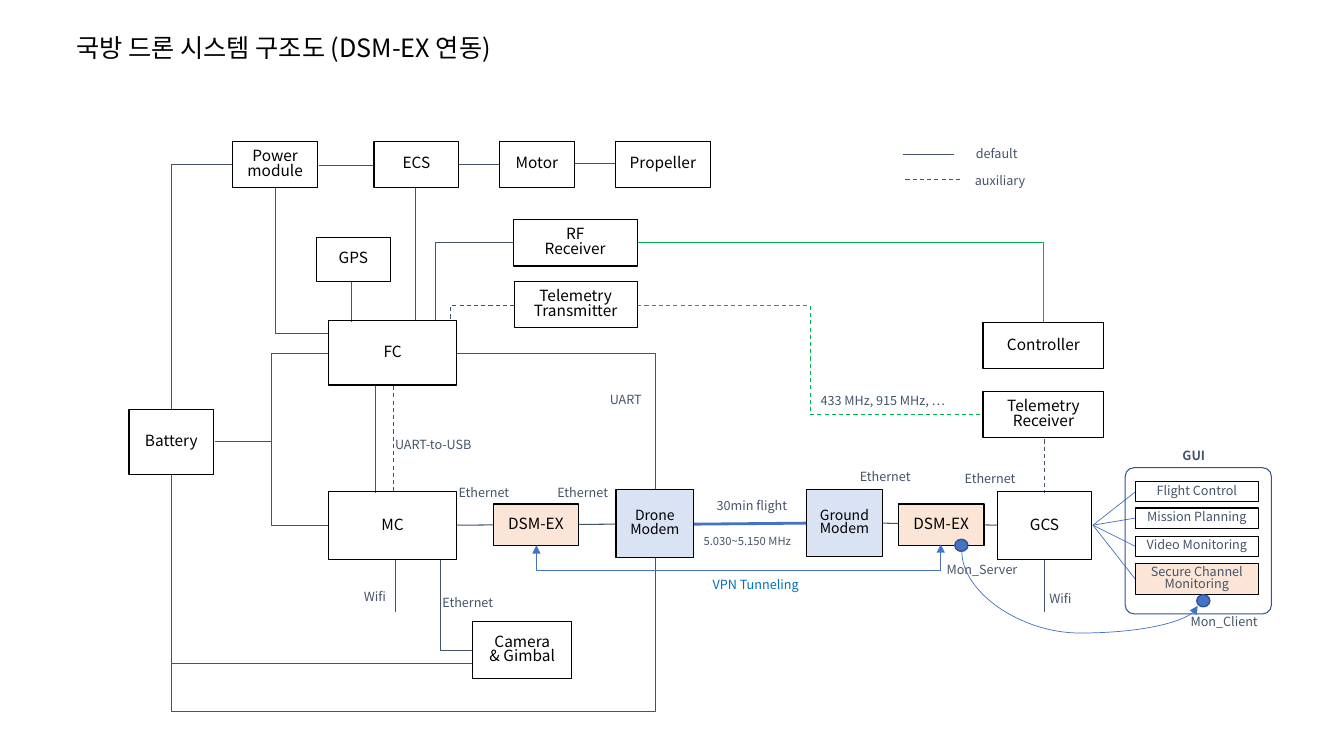
from dataclasses import dataclass
from typing import Optional

import lxml.etree
import pptx
import pptx.dml.color
import pptx.enum.dml
import pptx.enum.shapes
import pptx.enum.text
import pptx.oxml.ns
import pptx.util

Inches = pptx.util.Inches
Pt = pptx.util.Pt
Preset = pptx.enum.shapes.MSO_SHAPE
Align = pptx.enum.text.PP_ALIGN
Point = tuple[float, float]


@dataclass(frozen=True)
class Theme:
    font: str = "Noto Sans CJK KR"
    black: str = "000000"
    slate: str = "44546A"
    blue: str = "4472C4"
    navy: str = "325491"
    green: str = "00B050"
    sky: str = "0070C0"
    modem: str = "DAE3F3"
    secure: str = "FBE5D6"
    title: float = 18
    device: float = 11
    small: float = 10
    label: float = 9
    fine: float = 8
    hair: float = 0.5
    thin: float = 0.75
    box_spacing: float = 0.8
    label_spacing: float = 0.9


THEME = Theme()


@dataclass(frozen=True)
class Box:
    text: str
    left: float
    top: float
    width: float
    height: float
    fill: Optional[str] = None
    size: float = THEME.device
    color: str = THEME.black
    line: str = THEME.black
    weight: float = THEME.thin
    preset: Preset = Preset.RECTANGLE


@dataclass(frozen=True)
class Label:
    text: str
    left: float
    top: float
    width: float
    height: float = 0.2
    size: float = THEME.label
    color: str = THEME.slate
    bold: bool = False


@dataclass(frozen=True)
class Wire:
    begin: Point
    end: Point
    preset: str = "line"
    vertical_first: bool = False
    adjust: Optional[float] = None
    color: str = THEME.slate
    weight: float = THEME.thin
    dashed: bool = False
    arrows: tuple[str, ...] = ()


ELBOW, ZIGZAG, CURVE = "bentConnector2", "bentConnector3", "curvedConnector3"
GCS_PORT = (10.84, 5.21)
MENU_LEFT, MENU_WIDTH = 11.26, 1.22

MENU = [
    Box(text, MENU_LEFT, top, MENU_WIDTH, height, fill, THEME.label, THEME.slate)
    for text, top, height, fill in (
        ("Flight Control", 4.78, 0.2, None),
        ("Mission Planning", 5.04, 0.2, None),
        ("Video Monitoring", 5.32, 0.2, None),
        ("Secure Channel Monitoring", 5.59, 0.31, THEME.secure),
    )
]
BOXES = [
    Box("Power module", 2.31, 1.4, 0.84, 0.46),
    Box("ECS", 3.71, 1.4, 0.84, 0.46),
    Box("Motor", 4.95, 1.4, 0.75, 0.46),
    Box("Propeller", 6.1, 1.4, 0.95, 0.46),
    Box("GPS", 3.14, 2.36, 0.73, 0.43),
    Box("RF\nReceiver", 5.09, 2.18, 1.23, 0.46),
    Box("Telemetry\nTransmitter", 5.1, 2.79, 1.22, 0.46),
    Box("FC", 3.26, 3.18, 1.27, 0.64),
    Box("Battery", 1.28, 4.06, 0.84, 0.65),
    Box("MC", 3.26, 4.88, 1.27, 0.67),
    Box("DSM-EX", 4.89, 5, 0.85, 0.41, THEME.secure),
    Box("Drone\nModem", 6.11, 4.86, 0.77, 0.67, THEME.modem, THEME.small),
    Box("Ground\nModem", 8, 4.86, 0.75, 0.66, THEME.modem, THEME.small),
    Box("DSM-EX", 8.91, 5, 0.85, 0.41, THEME.secure),
    Box("GCS", 9.89, 4.88, 0.94, 0.67),
    Box("Controller", 9.75, 3.2, 1.2, 0.46),
    Box("Telemetry\nReceiver", 9.75, 3.88, 1.2, 0.46),
    Box("Camera\n& Gimbal", 4.69, 6.17, 0.98, 0.56),
    *MENU,
    Box("", 11.16, 4.64, 1.45, 1.45, line=THEME.navy, preset=Preset.ROUNDED_RECTANGLE),
    *(Box("", left, top, 0.13, 0.12, THEME.blue, line=THEME.navy, weight=1, preset=Preset.OVAL)
      for left, top in ((9.47, 5.35), (11.87, 5.9))),
]
WIRES = [
    Wire((3.16, 1.64), (3.72, 1.64)),
    Wire((4.55, 1.63), (4.95, 1.63)),
    Wire((5.7, 1.62), (6.1, 1.62)),
    Wire((4.12, 3.18), (4.12, 1.86)),
    Wire((3.49, 2.79), (3.49, 3.19)),
    Wire((3.72, 3.83), (3.72, 4.89)),
    Wire((3.9, 3.83), (3.9, 4.88), dashed=True),
    Wire((4.53, 5.21), (6.11, 5.2)),
    Wire((6.88, 5.2), (8, 5.19), color=THEME.blue, weight=2),
    Wire((8.74, 5.19), (9.89, 5.21)),
    Wire((3.92, 5.55), (3.92, 6.07)),
    Wire((10.36, 5.55), (10.36, 6.07)),
    Wire((10.36, 4.36), (10.36, 4.89), dashed=True),
    Wire((4.69, 6.58), (1.7, 6.58)),
    Wire((8.96, 1.53), (9.46, 1.53)),
    Wire((8.98, 1.78), (9.55, 1.78), dashed=True),
    Wire((4.53, 3.51), (6.5, 4.86), ELBOW),
    Wire((2.13, 4.38), (3.26, 3.51), ZIGZAG, adjust=0.5),
    Wire((2.13, 4.38), (3.26, 5.21), ZIGZAG, adjust=0.5),
    Wire((1.7, 4.7), (6.5, 5.53), ZIGZAG, True, 2.845),
    Wire((1.7, 4.06), (2.31, 1.63), ELBOW, True),
    Wire((3.26, 3.35), (2.73, 1.86), ZIGZAG, True, 0.03),
    Wire((5.09, 2.41), (4.32, 3.18), ELBOW),
    Wire((5.1, 3.03), (4.49, 3.18), ZIGZAG, adjust=1.03, dashed=True),
    Wire((4.69, 6.45), (4.37, 5.55), ELBOW),
    Wire((6.32, 3.03), (9.75, 4.11), ZIGZAG, adjust=0.5, color=THEME.green, dashed=True),
    Wire((6.32, 2.41), (10.35, 3.2), ELBOW, color=THEME.green),
    *(Wire(GCS_PORT, (MENU_LEFT, item.top + item.height / 2), color=THEME.blue, weight=THEME.hair)
      for item in MENU),
]
MONITOR_LINKS = [
    Wire((5.32, 5.41), (9.33, 5.4), ZIGZAG, True, -25, THEME.blue, THEME.hair,
         arrows=("headEnd", "tailEnd")),
    Wire((9.54, 5.47), (11.88, 6.01), CURVE, True, 1.5, THEME.blue, THEME.hair,
         arrows=("tailEnd",)),
]
LABELS = [
    Label("국방 드론 시스템 구조도 (DSM-EX 연동)", 0.66, 0.29, 6.54, 0.4, THEME.title, THEME.black),
    Label("default", 9.58, 1.43, 0.75),
    Label("auxiliary", 9.57, 1.7, 0.75),
    Label("UART", 5.95, 3.87, 0.62),
    Label("UART-to-USB", 3.82, 4.32, 1.22),
    *(Label("Ethernet", left, top, 0.94)
      for left, top in ((4.45, 4.8), (5.43, 4.8), (8.43, 4.64), (9.47, 4.66), (4.29, 5.89))),
    Label("Wifi", 3.51, 5.83, 0.46),
    Label("Wifi", 10.31, 5.85, 0.46),
    Label("30min flight", 7.01, 4.83, 1.05, 0.38),
    Label("5.030~5.150 MHz", 6.88, 5.24, 1.4, 0.27, THEME.fine),
    Label("433 MHz, 915 MHz, …", 8.04, 3.85, 1.98, 0.27),
    Label("VPN Tunneling", 6.97, 5.71, 1.22, color=THEME.sky),
    Label("GUI", 11.63, 4.42, 0.47, 0.21, bold=True),
    Label("Mon_Server", 9.29, 5.55, 0.95, 0.21),
    Label("Mon_Client", 11.71, 6.07, 0.95, 0.21),
]


def rgb(value: str) -> pptx.dml.color.RGBColor:
    return pptx.dml.color.RGBColor.from_string(value)


def add_element(parent, tag: str, **attributes: str):
    return lxml.etree.SubElement(parent, pptx.oxml.ns.qn(tag), **attributes)


def write(shape, item, spacing: float, align: Align, bold: bool = False) -> None:
    frame = shape.text_frame
    frame.word_wrap = True
    frame.vertical_anchor = pptx.enum.text.MSO_ANCHOR.MIDDLE
    frame.text = item.text
    for para in frame.paragraphs:
        para.alignment, para.line_spacing = align, spacing
        for span in para.runs:
            font = span.font
            font.name, font.size, font.bold = THEME.font, Pt(item.size), bold
            font.color.rgb = rgb(item.color)
            add_element(span._r.get_or_add_rPr(), "a:ea", typeface=THEME.font)


def draw_box(page, box: Box) -> None:
    shape = page.shapes.add_shape(
        box.preset, *map(Inches, (box.left, box.top, box.width, box.height)))
    shape.shadow.inherit = False
    if box.fill:
        shape.fill.solid()
        shape.fill.fore_color.rgb = rgb(box.fill)
    else:
        shape.fill.background()
    shape.line.color.rgb, shape.line.width = rgb(box.line), Pt(box.weight)
    if box.preset == Preset.ROUNDED_RECTANGLE:
        shape.adjustments[0] = 0.06
    if box.text:
        write(shape, box, THEME.box_spacing, Align.CENTER)


def draw_label(page, label: Label) -> None:
    shape = page.shapes.add_textbox(
        *map(Inches, (label.left, label.top, label.width, label.height)))
    write(shape, label, THEME.label_spacing, Align.LEFT, label.bold)


def route(connector, wire: Wire) -> None:
    """Turn and flip a connector so that it leaves its start in the wanted direction."""
    (x1, y1), (x2, y2) = wire.begin, wire.end
    width, height = abs(x2 - x1), abs(y2 - y1)
    angle, flip_h, flip_v = 0, x2 < x1, y2 < y1
    turned = flip_h
    if wire.vertical_first:
        width, height = height, width
        angle, flip_h, flip_v = 90, y2 < y1, x2 > x1
        turned = flip_h != flip_v
    if turned:
        angle, flip_h, flip_v = angle + 180, not flip_h, not flip_v
    connector.left, connector.top = Inches((x1 + x2 - width) / 2), Inches((y1 + y2 - height) / 2)
    connector.width, connector.height = Inches(width), Inches(height)
    properties = connector._element.spPr
    frame = properties.xfrm
    frame.set("rot", str(angle * 60000))
    frame.set("flipH", str(int(flip_h)))
    frame.set("flipV", str(int(flip_v)))
    geometry = properties.find(pptx.oxml.ns.qn("a:prstGeom"))
    geometry.set("prst", wire.preset)
    if wire.adjust is not None:
        guides = geometry.find(pptx.oxml.ns.qn("a:avLst"))
        add_element(guides, "a:gd", name="adj1", fmla=f"val {round(wire.adjust * 100000)}")


def draw_wire(page, wire: Wire) -> None:
    connector = page.shapes.add_connector(
        pptx.enum.shapes.MSO_CONNECTOR.STRAIGHT, *map(Inches, wire.begin + wire.end))
    if wire.preset != "line":
        route(connector, wire)
    line = connector.line
    line.color.rgb, line.width = rgb(wire.color), Pt(wire.weight)
    if wire.dashed:
        line.dash_style = pptx.enum.dml.MSO_LINE.DASH
    for arrow in wire.arrows:
        add_element(line._get_or_add_ln(), f"a:{arrow}", type="triangle")
    add_element(connector._element.spPr, "a:effectLst")


def main() -> None:
    deck = pptx.Presentation()
    deck.slide_width, deck.slide_height = Inches(13.33), Inches(7.5)
    page = deck.slides.add_slide(deck.slide_layouts[6])
    for wire in WIRES:
        draw_wire(page, wire)
    for box in BOXES:
        draw_box(page, box)
    for link in MONITOR_LINKS:
        draw_wire(page, link)
    for label in LABELS:
        draw_label(page, label)
    deck.save("out.pptx")


if __name__ == "__main__":
    main()
